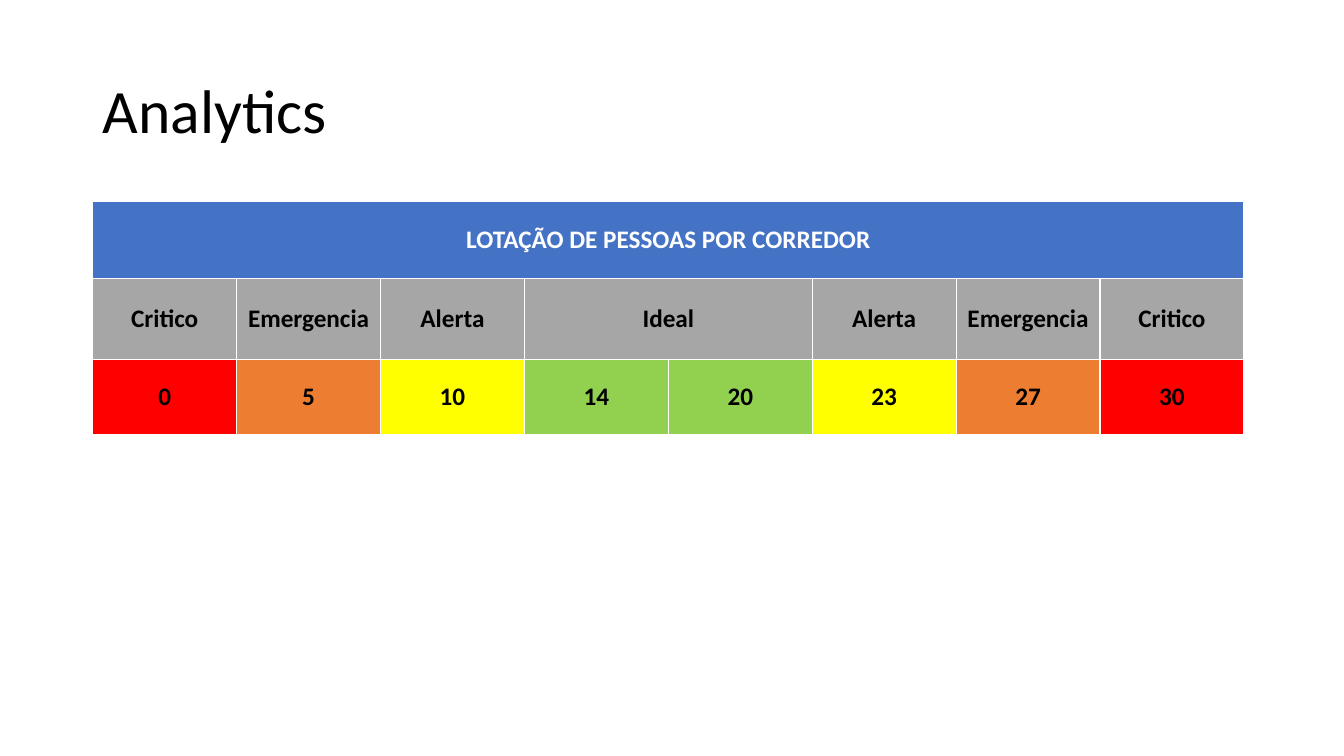
from dataclasses import dataclass

from pptx import Presentation
from pptx.dml.color import RGBColor
from pptx.enum.text import MSO_ANCHOR, PP_ALIGN
from pptx.util import Inches, Pt

MIDDLE = MSO_ANCHOR.MIDDLE
CENTER = PP_ALIGN.CENTER
LEFT = PP_ALIGN.LEFT


@dataclass(frozen=True)
class Theme:
    font: str = "Calibri"
    title_size: int = 44
    table_size: int = 18
    text: str = "000000"
    banner_text: str = "FFFFFF"
    banner: str = "4472C4"
    label: str = "A6A6A6"
    critical: str = "FF0000"
    emergency: str = "ED7D31"
    alert: str = "FFFF00"
    ideal: str = "92D050"


THEME = Theme()

BANNER = "LOTAÇÃO DE PESSOAS POR CORREDOR"
# Level name, value and colour of each column; equal neighbours share a label.
LEVELS = [
    ("Critico", "0", THEME.critical),
    ("Emergencia", "5", THEME.emergency),
    ("Alerta", "10", THEME.alert),
    ("Ideal", "14", THEME.ideal),
    ("Ideal", "20", THEME.ideal),
    ("Alerta", "23", THEME.alert),
    ("Emergencia", "27", THEME.emergency),
    ("Critico", "30", THEME.critical),
]
ROW_HEIGHTS = (0.76, 0.81, 0.74)


def write_text(frame, text, size, color, align, bold=False):
    para = frame.paragraphs[0]
    para.alignment = align
    span = para.add_run()
    span.text = text
    span.font.name = THEME.font
    span.font.size = Pt(size)
    span.font.bold = bold
    span.font.color.rgb = RGBColor.from_string(color)
    return para


def fill_cell(cell, fill, text="", color=THEME.text):
    cell.fill.solid()
    cell.fill.fore_color.rgb = RGBColor.from_string(fill)
    cell.vertical_anchor = MIDDLE
    if text:
        write_text(cell.text_frame, text, THEME.table_size, color, CENTER, bold=True)


def add_title(page, left, top, width, height):
    box = page.shapes.add_textbox(Inches(left), Inches(top), Inches(width), Inches(height))
    frame = box.text_frame
    frame.word_wrap = True
    frame.vertical_anchor = MIDDLE
    para = write_text(frame, "Analytics", THEME.title_size, THEME.text, LEFT)
    para.line_spacing = 0.9


def add_occupancy_table(page, left, top, width):
    """Places the banner, label and value rows; the default style draws the white rules."""
    table = page.shapes.add_table(
        len(ROW_HEIGHTS), len(LEVELS), Inches(left), Inches(top),
        Inches(width), Inches(sum(ROW_HEIGHTS)),
    ).table
    for row, height in zip(table.rows, ROW_HEIGHTS):
        row.height = Inches(height)

    table.cell(0, 0).merge(table.cell(0, len(LEVELS) - 1))
    previous = None
    for column, (name, value, color) in enumerate(LEVELS):
        fill_cell(table.cell(0, column), THEME.banner,
                  BANNER if column == 0 else "", THEME.banner_text)
        if name == previous:
            table.cell(1, column - 1).merge(table.cell(1, column))
        fill_cell(table.cell(1, column), THEME.label, "" if name == previous else name)
        fill_cell(table.cell(2, column), color, value)
        previous = name


def main():
    deck = Presentation()
    deck.slide_width, deck.slide_height = Inches(13.33), Inches(7.5)
    page = deck.slides.add_slide(deck.slide_layouts[6])
    add_title(page, 0.92, 0.4, 11.5, 1.45)
    add_occupancy_table(page, 0.92, 2, 11.42)
    deck.save("out.pptx")


if __name__ == "__main__":
    main()
